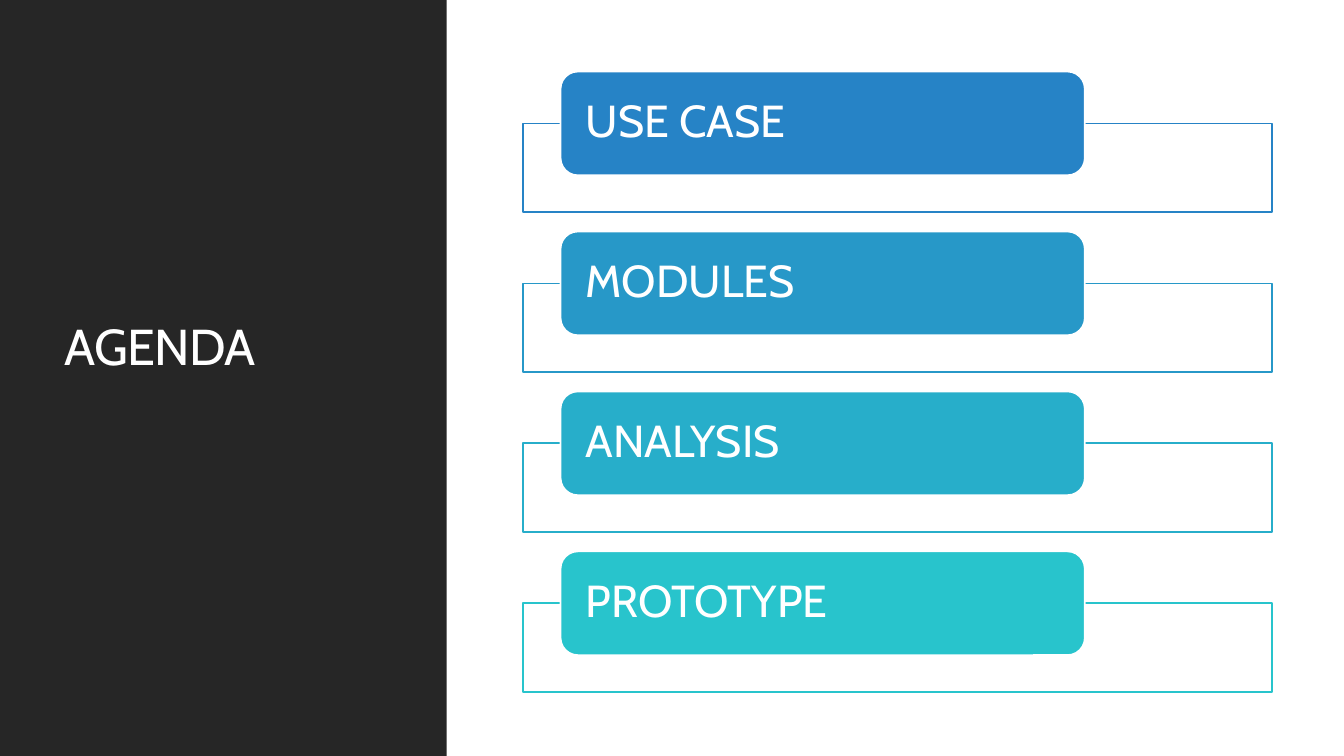
import pptx
import pptx.util
import pptx.dml.color
import pptx.enum.shapes
import pptx.enum.text
from dataclasses import dataclass

Inches = pptx.util.Inches
Shapes = pptx.enum.shapes.MSO_SHAPE

# Content
TITLE = "AGENDA"
TOPICS = [
    ("USE CASE", "2683C6"),
    ("MODULES", "2798C8"),
    ("ANALYSIS", "27AECA"),
    ("PROTOTYPE", "28C4CC"),
]


@dataclass(frozen=True)
class Theme:
    font: str = "Cabin"
    dark: str = "262626"
    light: str = "FFFFFF"
    title_size: int = 36
    topic_size: int = 32
    outline: float = 1.25


theme = Theme()

# Layout in inches
SLIDE_WIDTH, SLIDE_HEIGHT = 13.33, 7.5
PANEL_WIDTH = 4.43
FRAME_LEFT, FRAME_WIDTH, FRAME_HEIGHT = 5.19, 7.43, 0.88
LABEL_LEFT, LABEL_WIDTH, LABEL_HEIGHT = 5.56, 5.2, 1.03
FIRST_TOP, LAST_TOP = 0.71, 5.47
PITCH = (LAST_TOP - FIRST_TOP) / (len(TOPICS) - 1)


def color(value):
    return pptx.dml.color.RGBColor.from_string(value)


def add_box(page, kind, left, top, width, height, fill, line=None):
    box = page.shapes.add_shape(
        kind, Inches(left), Inches(top), Inches(width), Inches(height))
    box.shadow.inherit = False
    box.fill.solid()
    box.fill.fore_color.rgb = color(fill)
    if line:
        box.line.color.rgb = color(line)
        box.line.width = pptx.util.Pt(theme.outline)
    else:
        box.line.fill.background()
    return box


def write(box, text, size, line_spacing, margins, tracking=0):
    """Margins are left, top, right, bottom; tracking is in points."""
    frame = box.text_frame
    frame.word_wrap = True
    frame.vertical_anchor = pptx.enum.text.MSO_ANCHOR.MIDDLE
    (frame.margin_left, frame.margin_top,
     frame.margin_right, frame.margin_bottom) = map(Inches, margins)
    para = frame.paragraphs[0]
    para.alignment = pptx.enum.text.PP_ALIGN.LEFT
    para.line_spacing = line_spacing
    span = para.add_run()
    span.text = text
    span.font.name = theme.font
    span.font.size = pptx.util.Pt(size)
    span.font.color.rgb = color(theme.light)
    if tracking:
        span._r.get_or_add_rPr().set("spc", str(round(tracking * 100)))


deck = pptx.Presentation()
deck.slide_width, deck.slide_height = Inches(SLIDE_WIDTH), Inches(SLIDE_HEIGHT)
page = deck.slides.add_slide(deck.slide_layouts[6])

# Dark side panel with the title
add_box(page, Shapes.RECTANGLE, 0, 0, PANEL_WIDTH, SLIDE_HEIGHT, theme.dark)
title_box = page.shapes.add_textbox(
    Inches(0.54), Inches(0.57), Inches(3.37), Inches(6.31))
write(title_box, TITLE, theme.title_size, line_spacing=0.8,
      margins=(0.1, 0.05, 0.1, 0.54), tracking=-0.5)

# One outlined frame per topic, its label over the top edge
for index, (topic, accent) in enumerate(TOPICS):
    top = FIRST_TOP + index * PITCH
    add_box(page, Shapes.RECTANGLE, FRAME_LEFT, top + LABEL_HEIGHT / 2,
            FRAME_WIDTH, FRAME_HEIGHT, theme.light, line=accent)
    label = add_box(page, Shapes.ROUNDED_RECTANGLE, LABEL_LEFT, top,
                    LABEL_WIDTH, LABEL_HEIGHT, accent, line=theme.light)
    write(label, topic, theme.topic_size, line_spacing=0.9,
          margins=(0.2, 0, 0.2, 0))

deck.save("out.pptx")
